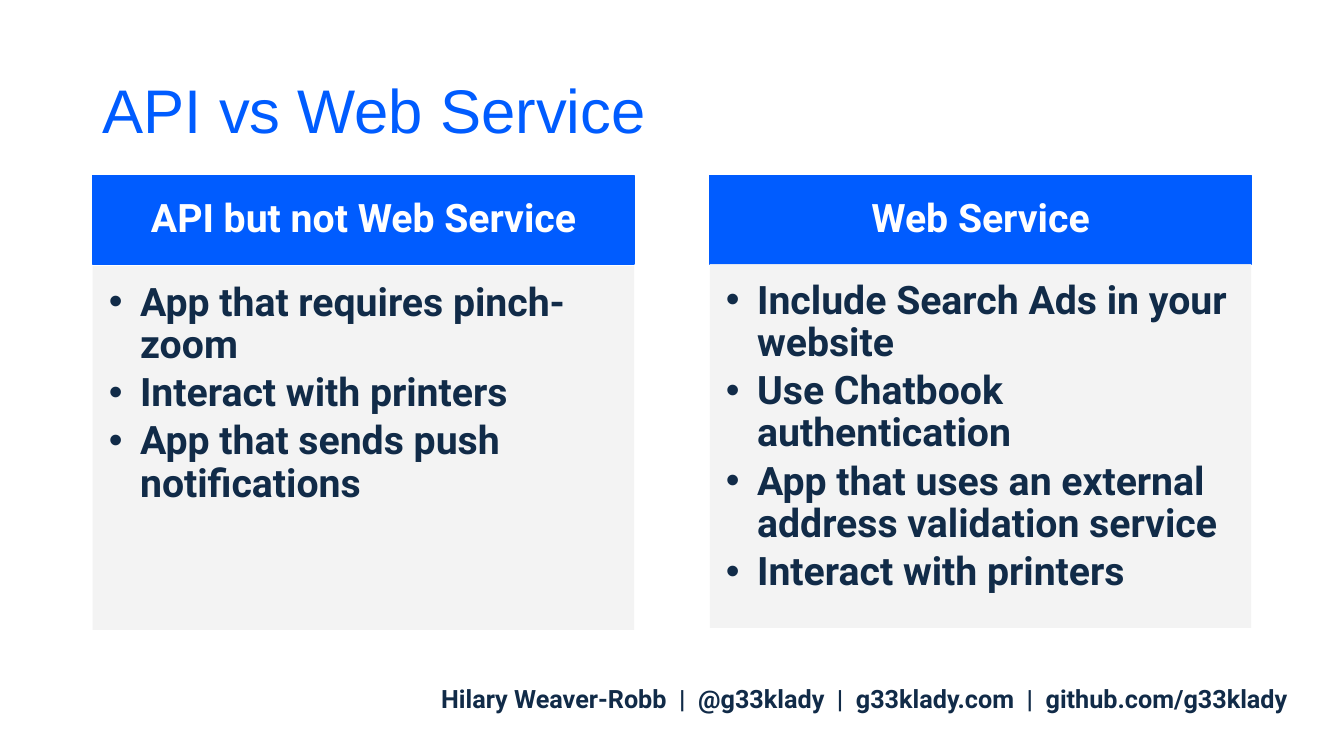
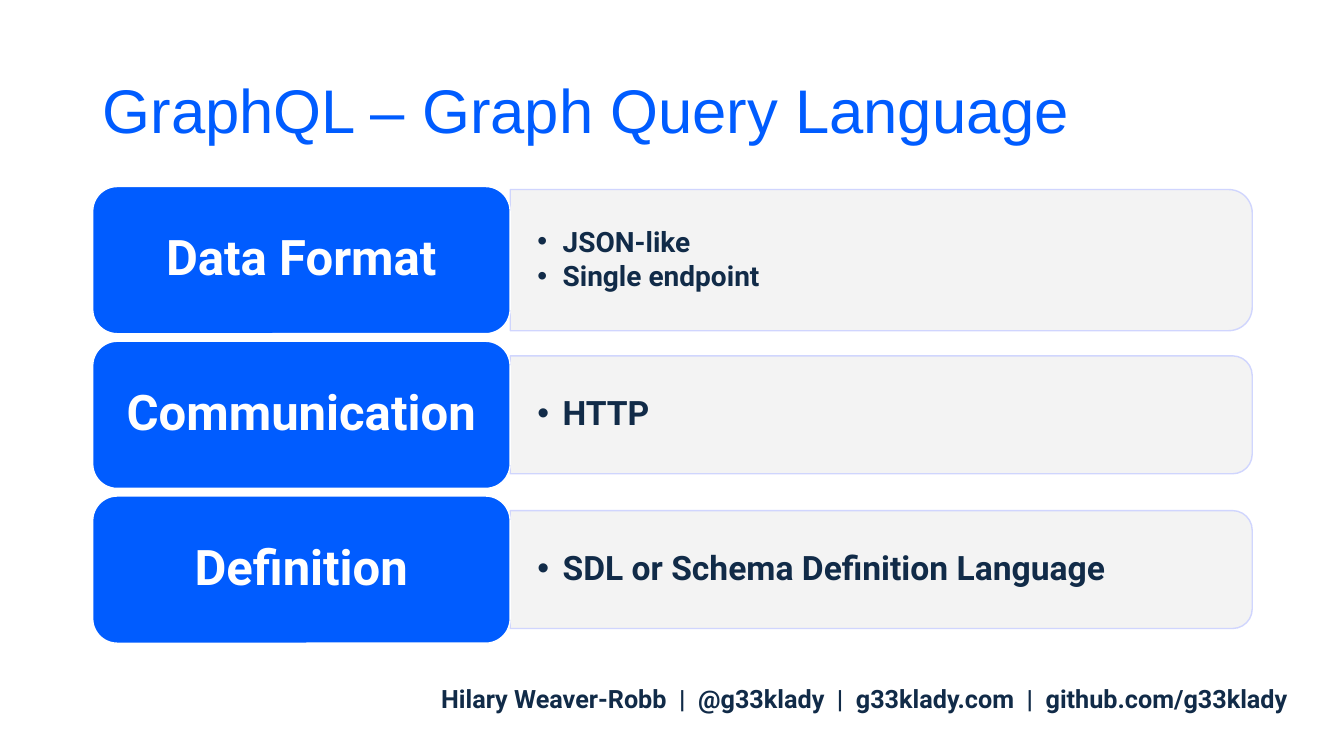
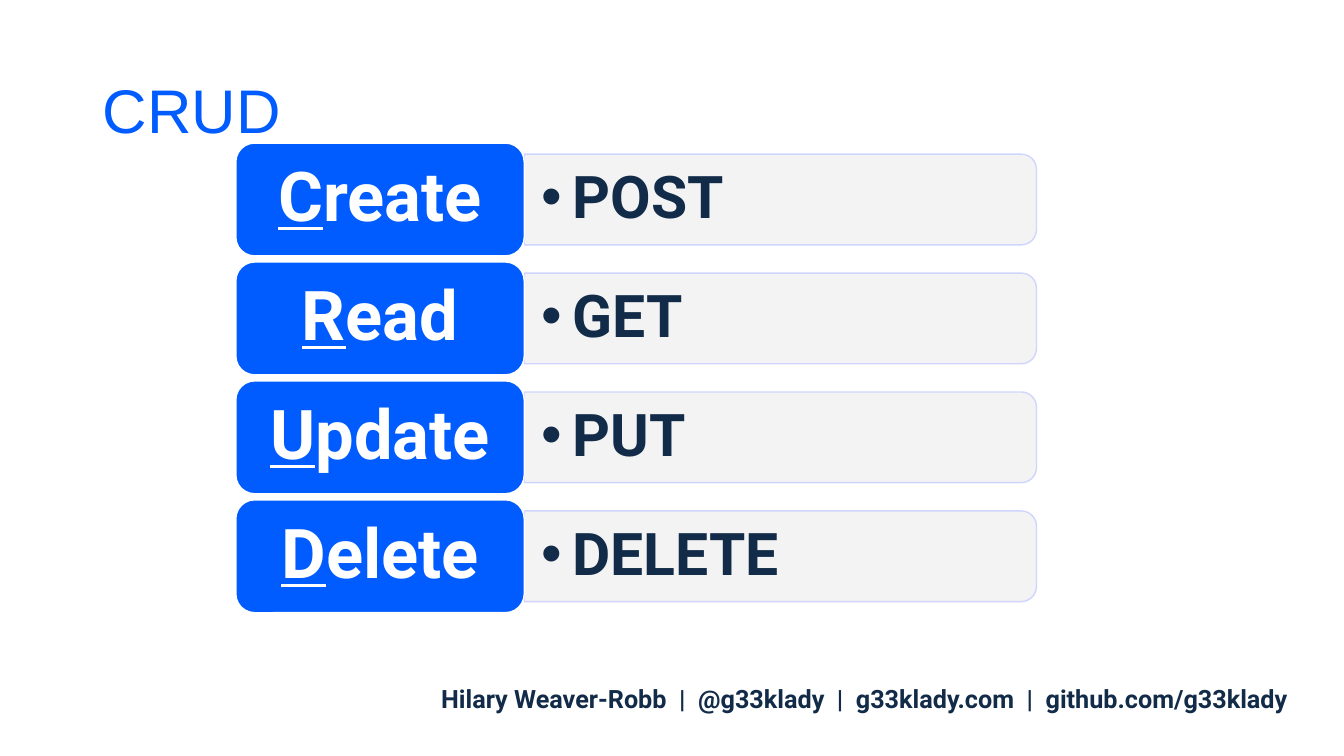
from dataclasses import dataclass

from lxml import etree
from pptx import Presentation
from pptx.dml.color import RGBColor
from pptx.enum.shapes import MSO_SHAPE
from pptx.enum.text import MSO_ANCHOR, MSO_AUTO_SIZE, PP_ALIGN
from pptx.oxml.ns import qn
from pptx.util import Emu, Inches, Pt

ROUND = MSO_SHAPE.ROUNDED_RECTANGLE
TAB = MSO_SHAPE.ROUND_2_SAME_RECTANGLE
TOP, MIDDLE = MSO_ANCHOR.TOP, MSO_ANCHOR.MIDDLE
LEFT, CENTER = PP_ALIGN.LEFT, PP_ALIGN.CENTER
FIXED = MSO_AUTO_SIZE.NONE

WIDE, HIGH = Inches(13.33), Inches(7.5)
COLORS = {"blue": "005CFF", "navy": "112B48", "grey": "F2F2F2",
          "lilac": "CCD2FF", "white": "FFFFFF"}
HEAD_FONT, BODY_FONT = "Arial", "Roboto"
FOOTER = "Hilary Weaver-Robb  |  @g33klady  |  g33klady.com  |  github.com/g33klady"
COMPARE, TITLE_ONLY = 4, 5
LIST_GAP = 0.15


@dataclass(frozen=True)
class Box:
    """A place in percent of the slide's width and height."""
    left: float
    top: float
    width: float
    height: float

    def place(self, shape) -> None:
        shape.left, shape.top, shape.width, shape.height = self.emu()

    def emu(self) -> tuple[Emu, Emu, Emu, Emu]:
        return (Emu(int(WIDE * self.left / 100)), Emu(int(HIGH * self.top / 100)),
                Emu(int(WIDE * self.width / 100)), Emu(int(HIGH * self.height / 100)))


@dataclass(frozen=True)
class Panel:
    head: str
    items: list[str]
    left: float
    top: float


@dataclass(frozen=True)
class Row:
    label: str
    items: list[str]
    size: int
    height: float


@dataclass(frozen=True)
class Stack:
    """Rows of a label chip with a plate of details to its right."""
    first: Box
    pitch: float
    width: float
    size: int
    inset: float
    indent: float
    mark: bool
    rows: list[Row]


TITLE_BOX = Box(6.9, 5.33, 86.27, 19.33)
FOOT_BOX = Box(30.53, 89.73, 67.59, 5.33)
PANEL_WIDTH, HEAD_TOP, HEAD_HIGH, LIST_HIGH = 40.29, 23.2, 11.73, 48.13

PANELS = [
    Panel("API but not Web Service",
          ["App that requires pinch-zoom", "Interact with printers",
           "App that sends push notifications"], 6.9, 35.2),
    Panel("Web Service",
          ["Include Search Ads in your website", "Use Chatbook authentication",
           "App that uses an external address validation service",
           "Interact with printers"], 52.81, 34.93),
]
GRAPH = Stack(Box(6.9, 24.67, 31.06, 19.47), 20.47, 55.21, 35, 0.27, 0.25, False, [
    Row("Data Format", ["JSON-like", "Single endpoint"], 20, 18.67),
    Row("Communication", ["HTTP"], 24, 15.6),
    Row("Definition", ["SDL or Schema Definition Language"], 24, 15.6),
])
CRUD = Stack(Box(17.55, 18.93, 21.46, 14.93), 15.73, 38.11, 49, 0.17, 0.31, True, [
    Row(label, [verb], 42, 12) for label, verb in
    [("Create", "POST"), ("Read", "GET"), ("Update", "PUT"), ("Delete", "DELETE")]
])


def color(name: str) -> RGBColor:
    return RGBColor.from_string(COLORS[name])


def paint(shape, fill: str, line: str | None = None) -> None:
    shape.fill.solid()
    shape.fill.fore_color.rgb = color(fill)
    if line:
        shape.line.color.rgb = color(line)
        shape.line.width = Pt(1)


def fade(shape) -> None:
    """Make fill and line ninety percent opaque."""
    for tone in shape._element.spPr.iter(qn("a:srgbClr")):
        etree.SubElement(tone, qn("a:alpha"), val="90000")


def frame_up(frame, anchor, insets: tuple[float, float, float, float]) -> None:
    """Set anchor and left, top, right and bottom insets in inches."""
    frame.word_wrap = True
    frame.auto_size = FIXED
    frame.vertical_anchor = anchor
    frame.margin_left, frame.margin_top, frame.margin_right, frame.margin_bottom = (
        Inches(inset) for inset in insets)


def style(frame, size: int, tone: str, align, font: str = BODY_FONT,
          bold: bool = True, pitch: float = 0.9) -> None:
    for par in frame.paragraphs:
        par.alignment = align
        par.line_spacing = pitch
        par.space_before = Pt(0)
        for run in par.runs:
            run.font.name = font
            run.font.size = Pt(size)
            run.font.bold = bold
            run.font.color.rgb = color(tone)


def fill_list(frame, items: list[str], size: int, indent: float) -> None:
    frame.text = "\n".join(items)
    for par in frame.paragraphs:
        props = par._p.get_or_add_pPr()
        props.set("marL", str(Inches(indent)))
        props.set("indent", str(-Inches(indent)))
        etree.SubElement(props, qn("a:buFont"), typeface="Arial")
        etree.SubElement(props, qn("a:buChar"), char="•")
        par.space_after = Pt(round(size * LIST_GAP, 1))
    style(frame, size, "navy", LEFT)


def add_slide(deck, layout: int, title: str):
    """Start a slide with the shared title and footer."""
    slide = deck.slides.add_slide(deck.slide_layouts[layout])
    head = slide.shapes.title
    TITLE_BOX.place(head)
    head.text_frame.text = title
    frame_up(head.text_frame, MIDDLE, (0.1, 0.05, 0.1, 0.05))
    style(head.text_frame, 44, "blue", LEFT, HEAD_FONT, False)

    foot = slide.shapes.add_textbox(*FOOT_BOX.emu()).text_frame
    foot.text = FOOTER
    frame_up(foot, TOP, (0.1, 0.05, 0.1, 0.05))
    style(foot, 18, "navy", CENTER, pitch=1.0)
    return slide


def draw_panel(panel: Panel, head, body) -> None:
    Box(panel.left, HEAD_TOP, PANEL_WIDTH, HEAD_HIGH).place(head)
    paint(head, "blue", "blue")
    head.text_frame.text = panel.head
    frame_up(head.text_frame, MIDDLE, (0.22, 0.12, 0.22, 0.12))
    style(head.text_frame, 28, "white", CENTER)

    Box(panel.left, panel.top, PANEL_WIDTH, LIST_HIGH).place(body)
    paint(body, "grey")
    fade(body)
    frame_up(body.text_frame, TOP, (0.16, 0.16, 0.22, 0.24))
    fill_list(body.text_frame, panel.items, 28, 0.31)


def draw_plate(slide, box: Box) -> None:
    """Draw a plate rounded on its right, as a tab turned by a quarter."""
    left, top, width, height = box.emu()
    shift = (width - height) // 2
    plate = slide.shapes.add_shape(TAB, left + shift, top - shift, height, width)
    plate.rotation = 90
    plate.shadow.inherit = False
    paint(plate, "grey", "lilac")
    fade(plate)


def draw_chip(slide, box: Box, label: str, size: int, mark: bool) -> None:
    chip = slide.shapes.add_shape(ROUND, *box.emu())
    chip.shadow.inherit = False
    paint(chip, "blue", "white")
    frame = chip.text_frame
    frame_up(frame, MIDDLE, (0.1, 0.07, 0.1, 0.07))
    if mark:
        frame.text = label[0]
        par = frame.paragraphs[0]
        par.runs[0].font.underline = True
        par.add_run().text = label[1:]
    else:
        frame.text = label
    style(frame, size, "white", CENTER)


def draw_stack(slide, stack: Stack) -> None:
    first = stack.first
    for index, row in enumerate(stack.rows):
        top = first.top + index * stack.pitch
        chip = Box(first.left, top, first.width, first.height)
        plate = Box(first.left + first.width, top + (first.height - row.height) / 2,
                    stack.width, row.height)
        draw_plate(slide, plate)
        frame = slide.shapes.add_textbox(*plate.emu()).text_frame
        frame_up(frame, MIDDLE, (stack.inset, 0.09, stack.inset, 0.09))
        fill_list(frame, row.items, row.size, stack.indent)
        draw_chip(slide, chip, row.label, stack.size, stack.mark)


def main() -> None:
    deck = Presentation()
    deck.slide_width, deck.slide_height = WIDE, HIGH

    slide = add_slide(deck, COMPARE, "API vs Web Service")
    holders = slide.placeholders
    for index, panel in enumerate(PANELS):
        draw_panel(panel, holders[2 * index + 1], holders[2 * index + 2])

    draw_stack(add_slide(deck, TITLE_ONLY, "GraphQL – Graph Query Language"), GRAPH)
    draw_stack(add_slide(deck, TITLE_ONLY, "CRUD"), CRUD)
    deck.save("out.pptx")


if __name__ == "__main__":
    main()
